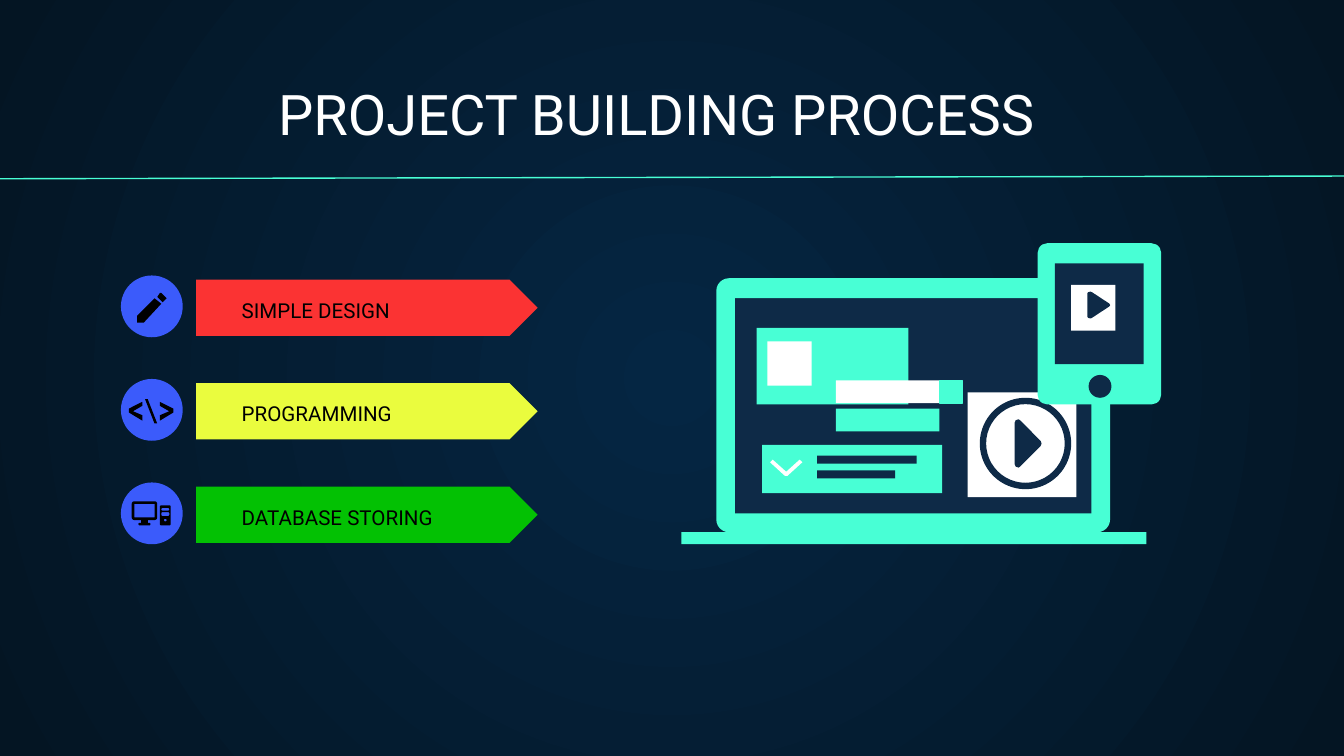
from math import cos, pi, sin

from lxml.etree import SubElement
from pptx import Presentation
from pptx.dml.color import RGBColor
from pptx.enum.shapes import MSO_CONNECTOR, MSO_SHAPE
from pptx.enum.text import MSO_ANCHOR, MSO_AUTO_SIZE, PP_ALIGN
from pptx.oxml.ns import qn
from pptx.util import Inches, Pt

FONT = "Roboto"
MINT, NAVY, WHITE, BLACK, BLUE = "48FFD5", "0E2A47", "FFFFFF", "000000", "3B5BFB"
RECT, ROUND, OVAL = MSO_SHAPE.RECTANGLE, MSO_SHAPE.ROUNDED_RECTANGLE, MSO_SHAPE.OVAL

PENCIL = [
    [(0.18, 0), (0.17, 0), (0.15, 0.03), (0.19, 0.07), (0.21, 0.05), (0.22, 0.04), (0.21, 0.03)],
    [(0.13, 0.04), (0, 0.17), (0, 0.22), (0.05, 0.22), (0.18, 0.08)],
]
BRACKET = [(0.1, 0.16), (0, 0.1), (0, 0.07), (0.1, 0.02), (0.1, 0.05), (0.03, 0.09), (0.1, 0.12)]
CODE = [
    BRACKET,
    [(0.19, 0.18), (0.12, 0), (0.14, 0), (0.21, 0.18)],
    [(0.33 - x, y) for x, y in BRACKET],
]
CHEVRON = [(0.02, 0), (0.12, 0.09), (0.22, 0), (0.24, 0.02), (0.13, 0.12), (0.11, 0.12), (0, 0.02)]
PLAY = [(0.15, 0), (0.04, 0.02), (0, 0.07), (0, 0.93), (0.04, 0.98), (0.15, 1),
        (0.22, 0.97), (0.97, 0.55), (1, 0.5), (0.97, 0.45), (0.22, 0.03)]


def rounded(left, top, width, height, radius):
    """Points of a rectangle whose corners are arcs."""
    corners = [
        (left + width - radius, top + height - radius), (left + radius, top + height - radius),
        (left + radius, top + radius), (left + width - radius, top + radius),
    ]
    return [
        (x + radius * cos(turn), y + radius * sin(turn))
        for quarter, (x, y) in enumerate(corners)
        for turn in [(quarter + step / 4) * pi / 2 for step in range(5)]
    ]


COMPUTER = [
    rounded(0, 0, 0.19, 0.14, 0.02),
    rounded(0.02, 0.02, 0.15, 0.1, 0),
    rounded(0.07, 0.14, 0.05, 0.02, 0),
    rounded(0.05, 0.16, 0.09, 0.02, 0.01),
    rounded(0.21, 0.03, 0.08, 0.15, 0.01),
    rounded(0.22, 0.05, 0.06, 0.02, 0.01),
    rounded(0.22, 0.08, 0.06, 0.03, 0.01),
    rounded(0.24, 0.13, 0.02, 0.02, 0.01),
]


def color(value):
    return RGBColor.from_string(value)


def paint(shape, fill):
    shape.shadow.inherit = False
    shape.fill.solid()
    shape.fill.fore_color.rgb = color(fill)
    shape.line.fill.background()
    return shape


def add_block(page, kind, left, top, width, height, fill, adjust=None):
    shape = page.shapes.add_shape(kind, Inches(left), Inches(top), Inches(width), Inches(height))
    if adjust is not None:
        shape.adjustments[0] = adjust
    return paint(shape, fill)


def add_outline(page, left, top, contours, fill):
    """One freeform; inner contours become holes."""
    placed = [[(Inches(left + x), Inches(top + y)) for x, y in points] for points in contours]
    builder = page.shapes.build_freeform(*placed[0][0])
    builder.add_line_segments(placed[0][1:])
    for points in placed[1:]:
        builder.move_to(*points[0])
        builder.add_line_segments(points[1:])
    return paint(builder.convert_to_shape(), fill)


def add_play(page, left, top, width, height):
    add_outline(page, left, top, [[(x * width, y * height) for x, y in PLAY]], NAVY)


def write(box, text, size, ink, align):
    frame = box.text_frame
    frame.word_wrap = True
    frame.auto_size = MSO_AUTO_SIZE.NONE
    frame.vertical_anchor = MSO_ANCHOR.BOTTOM
    frame.margin_left = frame.margin_right = Inches(0.1)
    frame.margin_top = frame.margin_bottom = Inches(0.1)
    para = frame.paragraphs[0]
    para.text = text
    para.alignment = align
    para.font.name = FONT
    para.font.size = Pt(size)
    para.font.color.rgb = color(ink)


def set_background(page):
    fill = page.background.fill
    fill.gradient()
    for stop, shade in zip(fill.gradient_stops, ("052643", "041523")):
        stop.color.rgb = color(shade)
    gradient = page.element.xpath(".//p:bg//a:gradFill")[0]
    gradient.remove(gradient.find(qn("a:lin")))
    circle = SubElement(gradient, qn("a:path"), path="circle")
    SubElement(circle, qn("a:fillToRect"), l="50000", t="50000", r="50000", b="50000")


def add_heading(page, left, top, width, height):
    title = page.shapes.title
    title.left, title.top = Inches(left), Inches(top)
    title.width, title.height = Inches(width), Inches(height)
    write(title, "PROJECT BUILDING PROCESS", 30, WHITE, PP_ALIGN.CENTER)
    rule = page.shapes.add_connector(
        MSO_CONNECTOR.STRAIGHT, 0, Inches(1.33), Inches(10), Inches(1.31))
    rule.line.color.rgb = color(MINT)
    rule.line.width = Pt(0.75)
    SubElement(rule.element.spPr, qn("a:effectLst"))


def add_step(page, left, top, label, fill, icon, icon_x, icon_y):
    add_block(page, MSO_SHAPE.PENTAGON, left + 0.56, top + 0.03, 2.54, 0.42, fill, 0.5)
    add_block(page, OVAL, left, top, 0.46, 0.46, BLUE)
    add_outline(page, left + icon_x, top + icon_y, icon, BLACK)
    box = page.shapes.add_textbox(
        Inches(left + 0.8), Inches(top - 0.08), Inches(2.27), Inches(0.53))
    write(box, label, 11, BLACK, PP_ALIGN.LEFT)


def add_laptop(page, left, top):
    add_block(page, ROUND, left + 0.26, top, 2.93, 1.89, MINT, 0.05)
    parts = [
        (0.4, 0.15, 2.65, 1.6, NAVY),  # screen
        (0, 1.89, 3.46, 0.09, MINT),  # base
        (0.4, 0.15, 2.65, 0.15, NAVY),  # top bar
        (0.56, 0.37, 1.13, 0.57, MINT),  # card
        (0.64, 0.47, 0.33, 0.33, WHITE),  # thumbnail
        (0.95, 1.24, 0.99, 0.36, MINT),  # message
        (1.01, 1.32, 0.74, 0.06, NAVY),
        (1.01, 1.43, 0.58, 0.06, NAVY),
        (0.6, 1.24, 0.35, 0.36, MINT),  # chevron panel
        (1.15, 0.97, 0.77, 0.17, MINT),  # button
        (1.15, 0.76, 0.77, 0.17, WHITE),  # field
        (2.13, 0.85, 0.81, 0.78, WHITE),  # video
    ]
    for x, y, width, height, fill in parts:
        add_block(page, RECT, left + x, top + y, width, height, fill)
    add_outline(page, left + 0.66, top + 1.35, [CHEVRON], WHITE)
    field_end = add_block(page, RECT, left + 1.92, top + 0.76, 0.17, 0.17, MINT)
    field_end.line.color.rgb = color(MINT)
    field_end.line.width = Pt(0.75)
    add_block(page, MSO_SHAPE.DONUT, left + 2.22, top + 0.89, 0.68, 0.68, NAVY, 0.07)
    add_play(page, left + 2.48, top + 1.05, 0.2, 0.36)


def add_tablet(page, left, top):
    add_block(page, ROUND, left, top, 0.92, 1.2, MINT, 0.08)
    add_block(page, RECT, left + 0.13, top + 0.15, 0.66, 0.75, NAVY)
    add_block(page, OVAL, left + 0.38, top + 0.98, 0.17, 0.17, NAVY)
    add_block(page, RECT, left + 0.25, top + 0.31, 0.33, 0.34, WHITE)
    add_play(page, left + 0.37, top + 0.36, 0.17, 0.2)


def main():
    deck = Presentation()
    deck.slide_width = Inches(10)
    deck.slide_height = deck.slide_width * 9 // 16
    page = deck.slides.add_slide(deck.slide_layouts[5])
    set_background(page)
    add_heading(page, 1.02, 0.35, 7.73, 0.84)
    steps = [
        ("SIMPLE DESIGN", "FB3333", PENCIL, 0.12, 0.13),
        ("PROGRAMMING", "EAFC3E", CODE, 0.06, 0.15),
        ("DATABASE STORING", "03C103", COMPUTER, 0.08, 0.14),
    ]
    for row, step in enumerate(steps):
        add_step(page, 0.9, 2.05 + row * 0.77, *step)
    add_laptop(page, 5.07, 2.07)
    add_tablet(page, 7.72, 1.81)
    deck.save("out.pptx")


if __name__ == "__main__":
    main()
